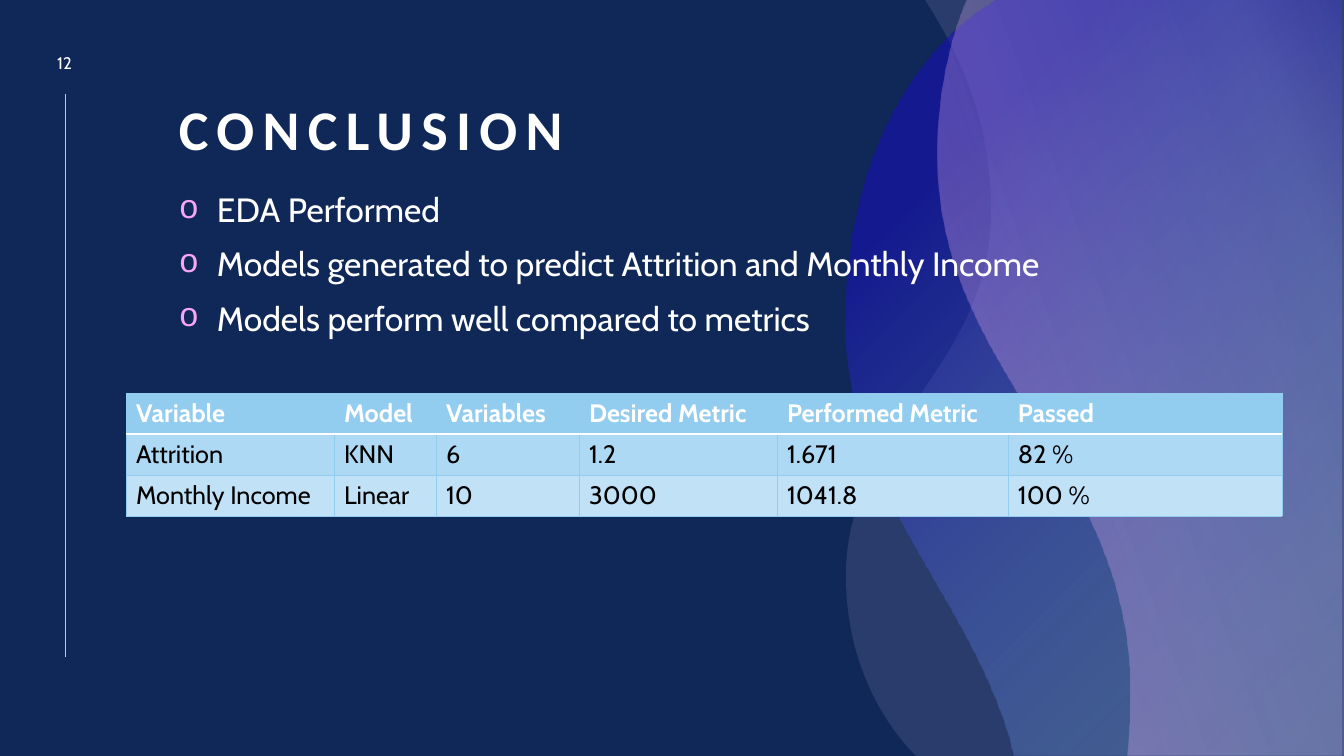
import pptx
import pptx.dml.color
import pptx.enum.shapes
import pptx.enum.text
import pptx.oxml
import pptx.oxml.ns
import pptx.util
from lxml import etree

EMU_PER_PIXEL = 914400 / 100.8
NAMESPACE = pptx.oxml.ns.nsdecls("a")
WHITE, BLACK, NAVY = "FFFFFF", "000000", "102857"
PINK, LAVENDER, SKY, BLUE = "F6A6F4", "C3B9F2", "92CDF0", "180DC2"

# Each wave: straight points, then curves as (control, control, end)
BACK_WAVE = (
    [(925, 0), (1344, 0), (1344, 756), (916, 756), (915, 755)],
    [((877, 716), (845, 653), (846, 573)),
     ((847, 430), (988, 369), (991, 217)),
     ((993, 122), (958, 52), (927, 3))])
MIDDLE_WAVE = (
    [(996, 0), (1341, 0), (1341, 756), (1014, 756), (1009, 737)],
    [((964, 588), (847, 496), (846, 325)),
     ((845, 158), (916, 55), (981, 10))])
FRONT_WAVE = (
    [(967, 0), (1344, 0), (1344, 756), (1127, 756), (1129, 727)],
    [((1130, 714), (1130, 700), (1130, 686)),
     ((1126, 462), (939, 371), (938, 160)),
     ((937, 107), (946, 59), (960, 18))])

BULLETS = ["EDA Performed",
           "Models generated to predict Attrition and Monthly Income",
           "Models perform well compared to metrics"]
TABLE_ROWS = [
    ["Variable", "Model", "Variables", "Desired Metric", "Performed Metric", "Passed"],
    ["Attrition", "KNN", "6", "1.2", "1.671", "82 %"],
    ["Monthly Income", "Linear", "10", "3000", "1041.8", "100 %"]]
COLUMN_WIDTHS = [208, 102, 143, 198, 231, 274]
ROW_HEIGHT = 41
ROW_FILLS = [SKY, "AED9F4", "C0E1F6"]


def px(pixels):
    return pptx.util.Emu(round(pixels * EMU_PER_PIXEL))


def color(value):
    return pptx.dml.color.RGBColor.from_string(value)


def color_xml(value, alpha=100):
    return f'<a:srgbClr val="{value}"><a:alpha val="{alpha * 1000}"/></a:srgbClr>'


def solid_xml(value, alpha=100):
    return f"<a:solidFill {NAMESPACE}>{color_xml(value, alpha)}</a:solidFill>"


def gradient_xml(stops, direction):
    stop_list = "".join(f'<a:gs pos="{position * 1000}">{color_xml(value, alpha)}</a:gs>'
                        for position, value, alpha in stops)
    return (f'<a:gradFill {NAMESPACE} rotWithShape="1">'
            f"<a:gsLst>{stop_list}</a:gsLst>{direction}</a:gradFill>")


def bend_segments(shape, curves):
    """Turn the last straight segments of a closed outline into cubic curves."""
    segments = list(shape._element.iter(pptx.oxml.ns.qn("a:lnTo")))
    # The outline ends with one straight segment back to its start
    for segment, curve in zip(segments[-len(curves) - 1:-1], curves):
        points = "".join(f'<a:pt x="{px(x) - shape.left}" y="{px(y) - shape.top}"/>'
                         for x, y in curve)
        segment.getparent().replace(segment, pptx.oxml.parse_xml(
            f"<a:cubicBezTo {NAMESPACE}>{points}</a:cubicBezTo>"))


def add_wave(slide, outline, fill_xml):
    corners, curves = outline
    points = corners + [curve[-1] for curve in curves] + corners[:1]
    points = [(px(x), px(y)) for x, y in points]
    builder = slide.shapes.build_freeform(*points[0])
    builder.add_line_segments(points[1:], close=True)
    shape = builder.convert_to_shape()
    bend_segments(shape, curves)
    shape.shadow.inherit = False
    shape.line.fill.background()
    geometry = shape._element.spPr.find(pptx.oxml.ns.qn("a:custGeom"))
    geometry.addnext(pptx.oxml.parse_xml(fill_xml))


def add_line(slide, start, end, value, width):
    line = slide.shapes.add_connector(
        pptx.enum.shapes.MSO_CONNECTOR.STRAIGHT, *map(px, start + end))
    line.line.color.rgb = color(value)
    line.line.width = pptx.util.Pt(width)
    etree.SubElement(line._element.spPr, pptx.oxml.ns.qn("a:effectLst"))


def write_text(paragraph, text, size, value=WHITE, font="Cabin", bold=False, spacing=0):
    run = paragraph.add_run()
    run.text = text
    run.font.size = pptx.util.Pt(size)
    run.font.name = font
    run.font.bold = bold
    run.font.color.rgb = color(value)
    if spacing:
        run._r.get_or_add_rPr().set("spc", str(spacing * 100))


def add_text_frame(slide, box, anchor):
    frame = slide.shapes.add_textbox(*map(px, box)).text_frame
    frame.word_wrap = True
    frame.vertical_anchor = anchor
    return frame


def add_bullets(frame, lines):
    for index, text in enumerate(lines):
        paragraph = frame.add_paragraph() if index else frame.paragraphs[0]
        paragraph.space_before = pptx.util.Pt(10)
        write_text(paragraph, text, 24)
        properties = paragraph._p.get_or_add_pPr()
        properties.set("marL", str(px(38)))
        properties.set("indent", str(px(-38)))
        for xml in (f"<a:buClr {NAMESPACE}>{color_xml(PINK)}</a:buClr>",
                    f'<a:buFont {NAMESPACE} typeface="Courier New"/>',
                    f'<a:buChar {NAMESPACE} char="o"/>'):
            properties.append(pptx.oxml.parse_xml(xml))


def set_border(cell, side, value, width):
    cell._tc.get_or_add_tcPr().append(pptx.oxml.parse_xml(
        f'<a:ln{side} {NAMESPACE} w="{pptx.util.Pt(width)}">{solid_xml(value)}</a:ln{side}>'))


def add_metrics_table(slide, left, top):
    table = slide.shapes.add_table(
        len(TABLE_ROWS), len(COLUMN_WIDTHS), px(left), px(top),
        px(sum(COLUMN_WIDTHS)), px(ROW_HEIGHT * len(TABLE_ROWS))).table
    for column, width in zip(table.columns, COLUMN_WIDTHS):
        column.width = px(width)
    for row_index, texts in enumerate(TABLE_ROWS):
        table.rows[row_index].height = px(ROW_HEIGHT)
        is_header = row_index == 0
        for column_index, text in enumerate(texts):
            cell = table.cell(row_index, column_index)
            write_text(cell.text_frame.paragraphs[0], text, 18,
                       value=WHITE if is_header else BLACK, bold=is_header)
            for side in "LRT":
                set_border(cell, side, SKY, 0.5)
            # The rule under the header is white
            set_border(cell, "B", WHITE if is_header else SKY, 1 if is_header else 0.5)
            cell.fill.solid()
            cell.fill.fore_color.rgb = color(ROW_FILLS[row_index])


def main():
    presentation = pptx.Presentation()
    presentation.slide_width, presentation.slide_height = px(1344), px(756)
    slide = presentation.slides.add_slide(presentation.slide_layouts[6])
    slide.background.fill.solid()
    slide.background.fill.fore_color.rgb = color(NAVY)
    anchors = pptx.enum.text.MSO_ANCHOR

    # Side line and waves
    add_line(slide, (65, 94), (65, 657), PINK, 0.5)
    add_wave(slide, BACK_WAVE, solid_xml(LAVENDER, 14))
    add_wave(slide, MIDDLE_WAVE, gradient_xml(
        [(4, SKY, 24), (79, BLUE, 52)],
        '<a:path path="circle"><a:fillToRect l="100000" t="100000"/></a:path>'))
    add_wave(slide, FRONT_WAVE, gradient_xml(
        [(1, PINK, 38), (84, LAVENDER, 20), (100, PINK, 3)],
        f'<a:lin ang="{340 * 60000}" scaled="0"/>'))

    # Title and slide number
    title = add_text_frame(slide, (169, 50, 979, 118), anchors.BOTTOM).paragraphs[0]
    title.line_spacing = 0.9
    write_text(title, "CONCLUSION", 40, font="Calibri", bold=True, spacing=6)
    number = add_text_frame(slide, (36, 46, 57, 34), anchors.MIDDLE).paragraphs[0]
    number.alignment = pptx.enum.text.PP_ALIGN.CENTER
    write_text(number, "12", 12)

    # Findings and metrics
    add_bullets(add_text_frame(slide, (169, 184, 1113, 178), anchors.TOP), BULLETS)
    add_metrics_table(slide, 126, 393)
    presentation.save("out.pptx")


main()
